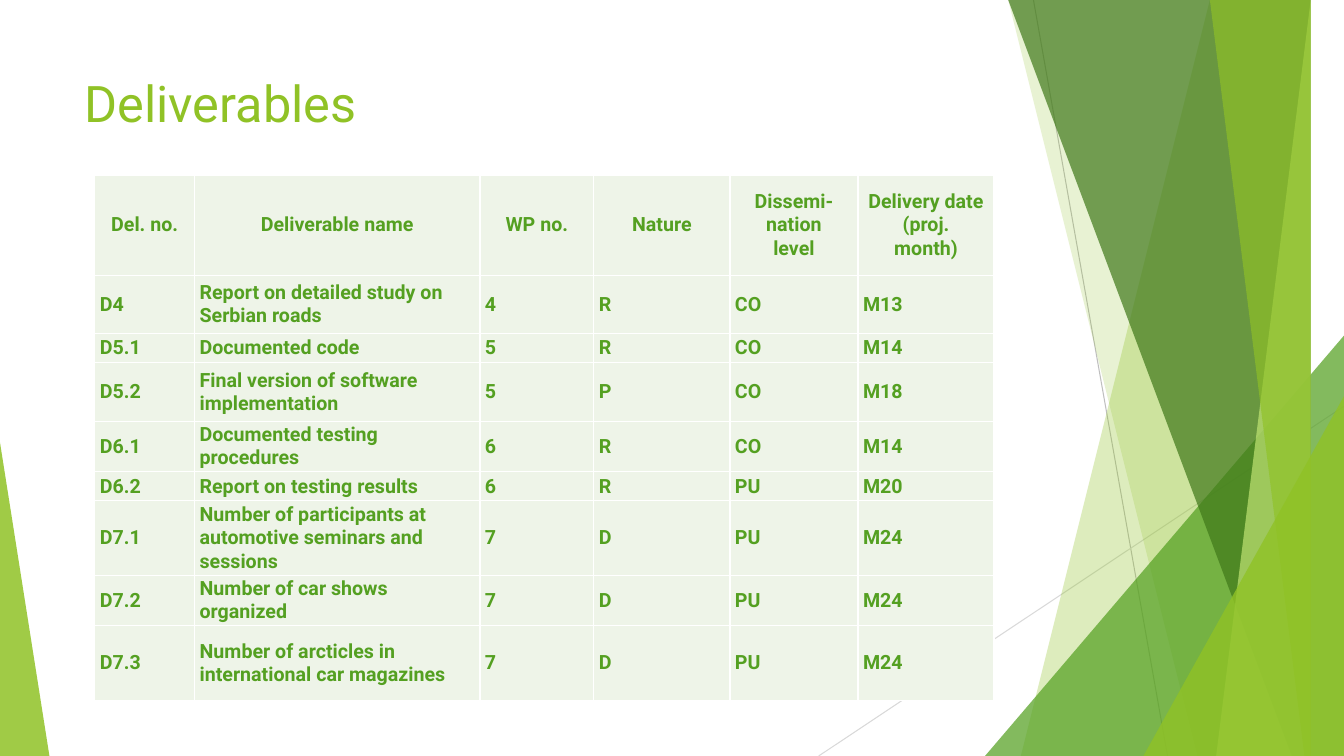
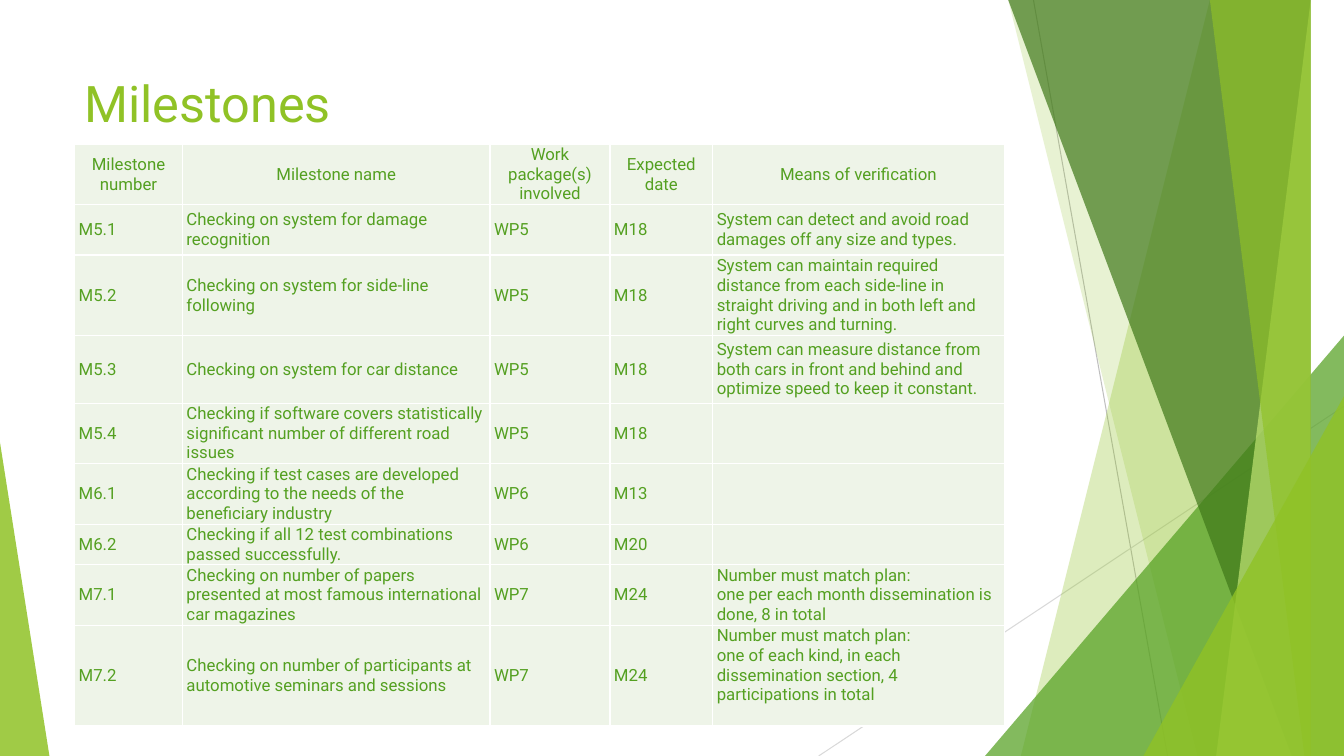
import pptx
import pptx.util
import pptx.dml.color
import pptx.enum.shapes
import pptx.enum.text
import pptx.oxml
import pptx.oxml.ns
from lxml import etree

Inches, Pt = pptx.util.Inches, pptx.util.Pt
RGBColor = pptx.dml.color.RGBColor
ALIGN = pptx.enum.text.PP_ALIGN
ANCHOR = pptx.enum.text.MSO_ANCHOR
qn = pptx.oxml.ns.qn

# Shared look
W, H = 13.33, 7.5
FONT = "Roboto"
LIME = RGBColor(0x90, 0xC2, 0x26)
GREEN = RGBColor(0x54, 0xA0, 0x21)
DARK = RGBColor(0x3F, 0x78, 0x19)
PALE = RGBColor(0xC0, 0xE4, 0x74)
CELL = RGBColor(0xEE, 0xF4, 0xE8)
WHITE = RGBColor(0xFF, 0xFF, 0xFF)
GREY = RGBColor(0xBF, 0xBF, 0xBF)
LIGHT_GREY = RGBColor(0xD9, 0xD9, 0xD9)

# Thin lines: start, end, colour
LINES = [((10.25, 0), (11.58, H), GREY), ((W, 4.03), (8.12, H), LIGHT_GREY)]
# Facets, back to front. A band has its top-left and bottom-left x and runs to
# the right edge; a triangle has left, top, width and apex, and stands on the bottom.
FACETS = [
    ("band", (12.28, 10.04), LIME, 30),
    ("band", (10.5, 11.83), LIME, 20),
    ("triangle", (9.77, 3.33, 3.56, 1), GREEN, 72),
    ("band", (10.21, 12.91), DARK, 70),
    ("band", (13.03, 11.92), PALE, 70),
    ("band", (11.96, 13.18), LIME, 65),
    ("triangle", (11.34, 3.93, 1.99, 1), LIME, 80),
    ("triangle", (0, 4.39, 0.49, 0), LIME, 85),
]

DELIVERABLES = [
    ("Del. no.", "Deliverable name", "WP no.", "Nature",
     "Dissemi-nation\vlevel", "Delivery date\n(proj.\nmonth)"),
    ("D4", "Report on detailed study on Serbian roads", "4", "R", "CO", "M13"),
    ("D5.1", "Documented code", "5", "R", "CO", "M14"),
    ("D5.2", "Final version of software implementation", "5", "P", "CO", "M18"),
    ("D6.1", "Documented testing procedures", "6", "R", "CO", "M14"),
    ("D6.2", "Report on testing results", "6", "R", "PU", "M20"),
    ("D7.1", "Number of participants at automotive seminars and sessions",
     "7", "D", "PU", "M24"),
    ("D7.2", "Number of car shows organized", "7", "D", "PU", "M24"),
    ("D7.3", "Number of arcticles in international car magazines",
     "7", "D", "PU", "M24"),
]
MILESTONES = [
    ("Milestone number", "Milestone name", "Work package(s) involved",
     "Expected date", "Means of verification"),
    ("M5.1", "Checking on system for damage recognition", "WP5", "M18",
     "System can detect and avoid road damages off any size and types."),
    ("M5.2", "Checking on system for side-line following", "WP5", "M18",
     "System can maintain required distance from each side-line in straight "
     "driving and in both left and right curves and turning."),
    ("M5.3", "Checking on system for car distance", "WP5", "M18",
     "System can measure distance from both cars in front and behind and "
     "optimize speed to keep it constant."),
    ("M5.4", "Checking if software covers statistically significant number of "
     "different road issues", "WP5", "M18", ""),
    ("M6.1", "Checking if test cases are developed according to the needs of "
     "the beneficiary industry", "WP6", "M13", ""),
    ("M6.2", "Checking if all 12 test combinations passed successfully.",
     "WP6", "M20", ""),
    ("M7.1", "Checking on number of papers presented at most famous "
     "international car magazines", "WP7", "M24",
     "Number must match plan:\n"
     "one per each month dissemination is done, 8 in total"),
    ("M7.2", "Checking on number of participants at automotive seminars and "
     "sessions", "WP7", "M24",
     "Number must match plan:\n"
     "one of each kind, in each dissemination section, 4 participations in total"),
]


def set_all(obj, values):
    for name, value in values.items():
        setattr(obj, name, value)


def style_font(font, color, **values):
    set_all(font, {"name": FONT, **values})
    font.color.rgb = color


def add_line(s, start, end, color):
    line = s.shapes.add_connector(
        pptx.enum.shapes.MSO_CONNECTOR.STRAIGHT, *map(Inches, start + end))
    line.line.color.rgb = color
    line.line.width = Pt(0.75)
    etree.SubElement(line._element.spPr, qn("a:effectLst"))


def add_facet(s, kind, place, color, alpha):
    if kind == "band":
        top_x, bottom_x = place
        ff = s.shapes.build_freeform(top_x, 0, scale=Inches(1))
        ff.add_line_segments([(W, 0), (W, H), (bottom_x, H)], close=True)
        sp = ff.convert_to_shape()
    else:
        x, y, w, apex = place
        sp = s.shapes.add_shape(
            pptx.enum.shapes.MSO_SHAPE.ISOSCELES_TRIANGLE,
            Inches(x), Inches(y), Inches(w), Inches(H - y))
        sp.adjustments[0] = apex
    sp.shadow.inherit = False
    sp.line.fill.background()
    sp.fill.solid()
    sp.fill.fore_color.rgb = color
    clr = sp._element.spPr.find(qn("a:solidFill"))[0]
    etree.SubElement(clr, qn("a:alpha"), val=str(alpha * 1000))


def add_backdrop(s):
    for line in LINES:
        add_line(s, *line)
    for facet in FACETS:
        add_facet(s, *facet)


def add_title(s, text, box=(0.74, 0.67, 9.4, 1.44)):
    tf = s.shapes.add_textbox(*map(Inches, box)).text_frame
    set_all(tf, {"word_wrap": True, "vertical_anchor": ANCHOR.TOP})
    tf.text = text
    style_font(tf.paragraphs[0].font, LIME, size=Pt(36))


def add_borders(cell):
    tcPr = cell._tc.get_or_add_tcPr()
    for i, side in enumerate(("lnL", "lnR", "lnT", "lnB")):
        ln = etree.Element(qn("a:" + side), w=str(Pt(1)))
        fill = etree.SubElement(ln, qn("a:solidFill"))
        etree.SubElement(fill, qn("a:srgbClr"), val=str(WHITE))
        tcPr.insert(i, ln)


def fill_cell(cell, text, inset, align, size, bold):
    set_all(cell, {"margin_left": Inches(inset), "margin_right": Inches(inset),
                   "margin_top": 0, "margin_bottom": 0,
                   "vertical_anchor": ANCHOR.MIDDLE})
    cell.fill.solid()
    cell.fill.fore_color.rgb = CELL
    add_borders(cell)
    cell.text = text
    for p in cell.text_frame.paragraphs:
        p.alignment = align
        style_font(p.font, GREEN, size=Pt(size), bold=bold)
        for r in p.runs:
            style_font(r.font, GREEN, size=Pt(size), bold=bold)
        if not p.runs:
            # An empty cell keeps the table's text size
            etree.SubElement(p._p, qn("a:endParaRPr"), sz=str(size * 100))


def add_grid(s, left, top, cols, heights, rows, inset, size, bold):
    table = s.shapes.add_table(
        len(rows), len(cols), Inches(left), Inches(top),
        Inches(sum(cols)), Inches(sum(heights))).table
    set_all(table, {"first_row": False, "horz_banding": False})
    for col, w in zip(table.columns, cols):
        col.width = Inches(w)
    for i, (row, h) in enumerate(zip(table.rows, heights)):
        row.height = Inches(h)
        align = ALIGN.LEFT if i else ALIGN.CENTER
        for cell, text in zip(row.cells, rows[i]):
            fill_cell(cell, text, inset, align, size, bold)
    return table


def add_table_slide(prs, title, **grid):
    s = prs.slides.add_slide(prs.slide_layouts[6])
    add_backdrop(s)
    add_title(s, title)
    return add_grid(s, **grid)


def main():
    prs = pptx.Presentation()
    set_all(prs, {"slide_width": Inches(W), "slide_height": Inches(H)})
    add_table_slide(
        prs, "Deliverables", left=0.94, top=1.74,
        cols=[0.99, 2.83, 1.13, 1.35, 1.27, 1.35],
        heights=[0.99, 0.58, 0.29, 0.58, 0.5, 0.29, 0.74, 0.5, 0.74],
        rows=DELIVERABLES, inset=0.05, size=14, bold=True)
    table = add_table_slide(
        prs, "Milestones", left=0.74, top=1.43,
        cols=[1.07, 3.05, 1.19, 1.02, 2.89],
        heights=[0.58, 0.5, 0.78, 0.67, 0.58, 0.58, 0.39, 0.58, 0.98],
        rows=MILESTONES, inset=0.04, size=12, bold=False)
    # The last note sits at the top of its row
    table.cell(8, 4).margin_bottom = Inches(0.2)
    prs.save("out.pptx")


if __name__ == "__main__":
    main()
